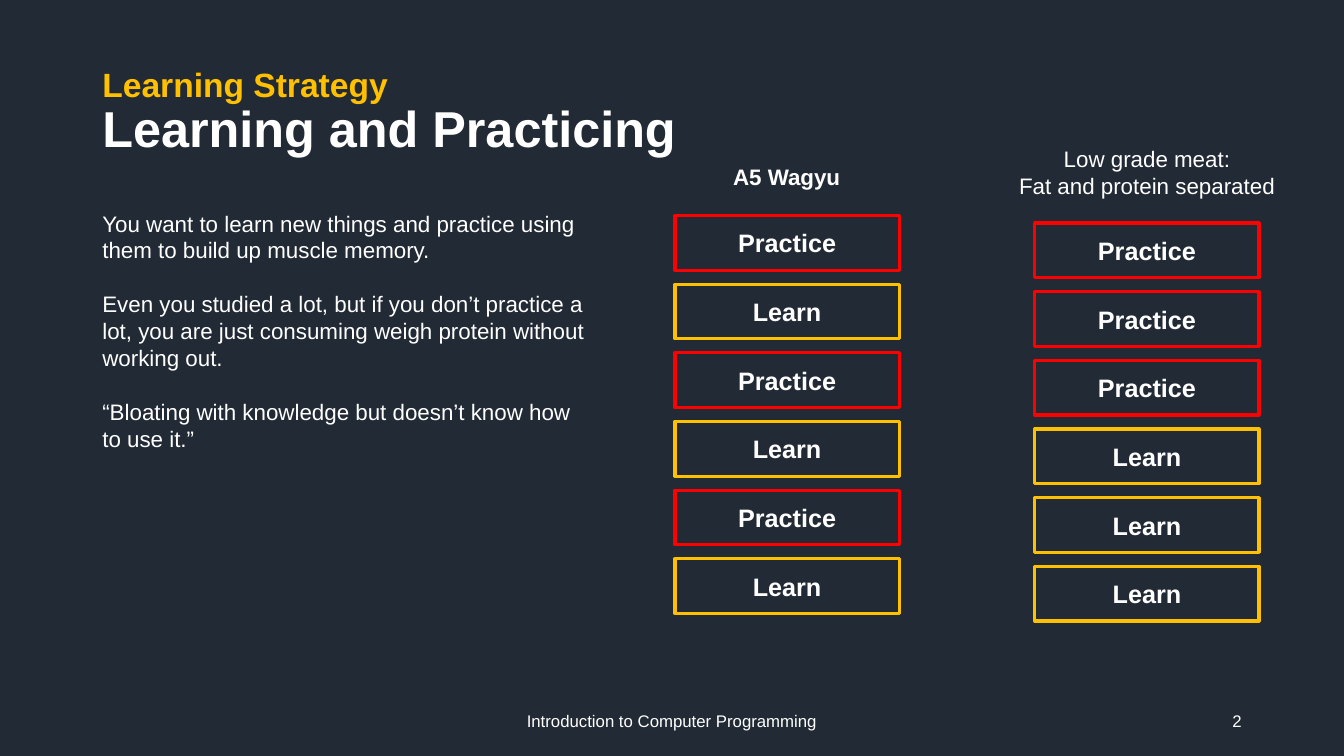
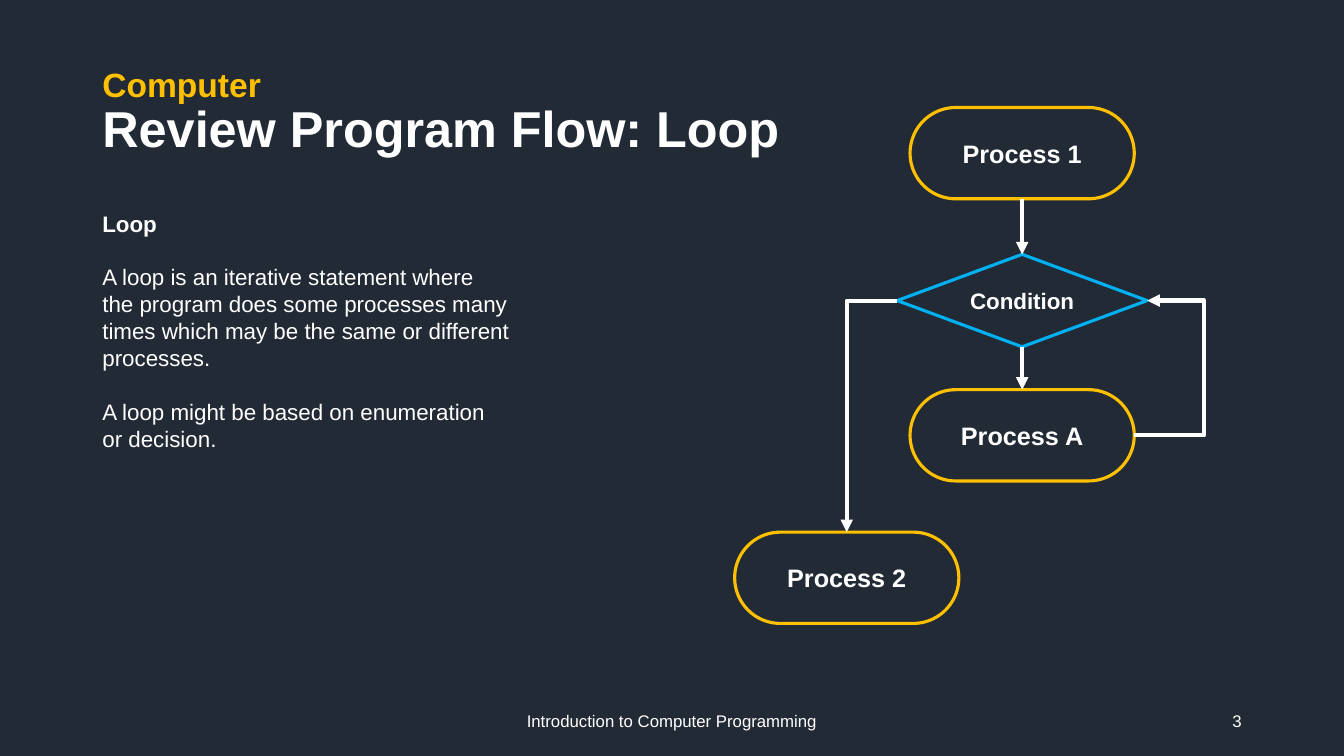
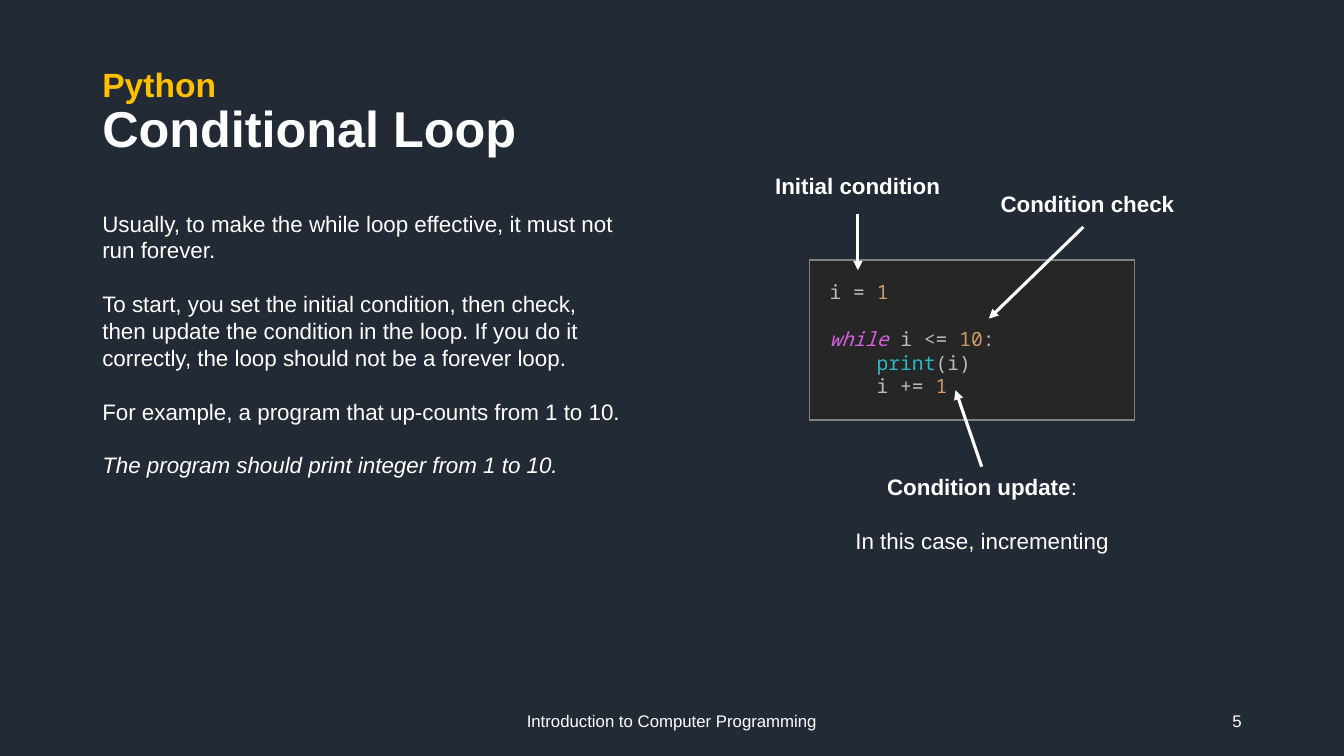
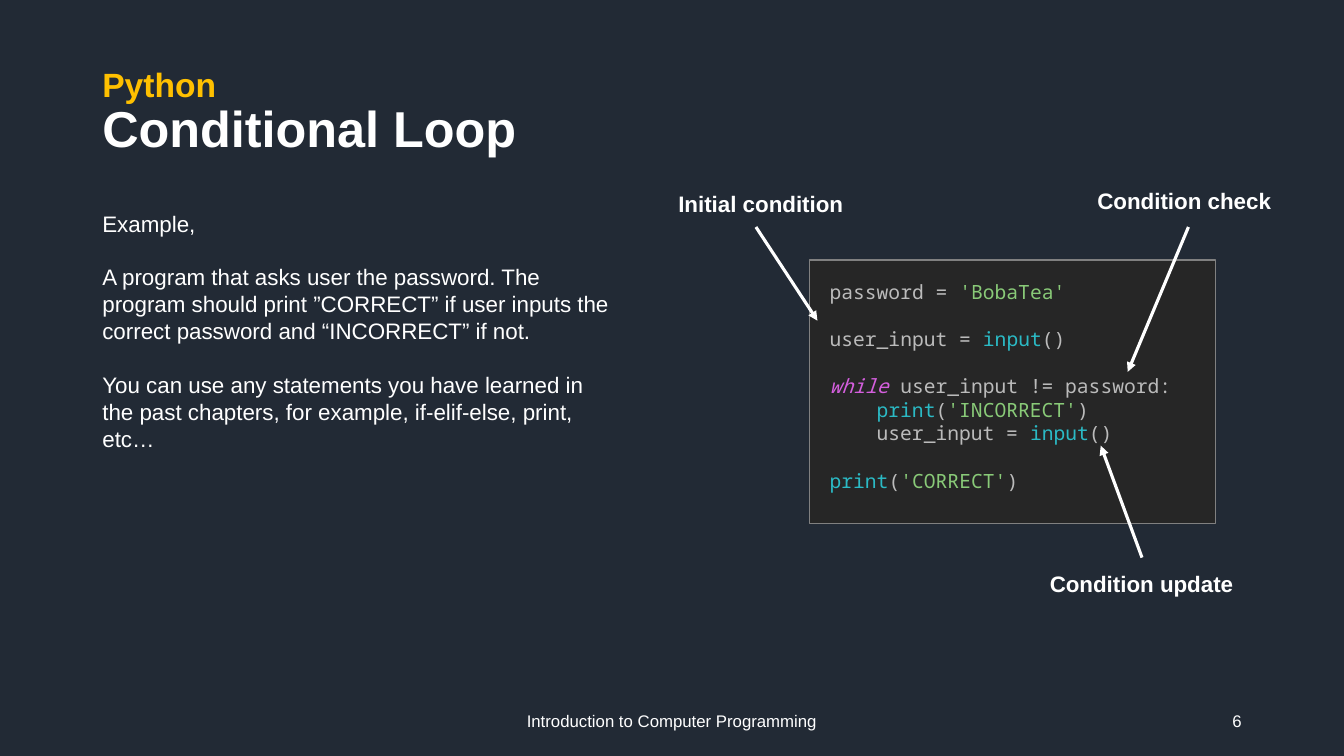
"""Build four slides on practising and on loops in Python."""
from lxml import etree
from pptx import Presentation
from pptx.dml.color import RGBColor
from pptx.enum import shapes, text
from pptx.oxml.ns import qn
from pptx.util import Cm, Pt

NAVY = RGBColor(0x22, 0x2A, 0x35)
WHITE = RGBColor(0xFF, 0xFF, 0xFF)
GOLD = RGBColor(0xFF, 0xC0, 0x00)
RED = RGBColor(0xFF, 0x00, 0x00)
BLUE = RGBColor(0x00, 0xB0, 0xF0)
CODE_FILL = RGBColor(0x26, 0x26, 0x26)
CODE_LINE = RGBColor(0x80, 0x80, 0x80)
PLAIN = RGBColor(0xBB, 0xBB, 0xBB)
NUMBER = RGBColor(0xD1, 0x9A, 0x66)
KEYWORD = RGBColor(0xD5, 0x5F, 0xDE)
BUILTIN = RGBColor(0x2B, 0xBA, 0xC5)
STRING = RGBColor(0x89, 0xCA, 0x78)

SANS, MONO = "Arial", "Noto Sans Mono"
LEADING = 1.2
CODE_SIZE = 14
CODE_INDENT = Pt(4 * 0.6 * CODE_SIZE)
FOOTER = "Introduction to Computer Programming"
LEFT, CENTER, RIGHT = text.PP_ALIGN.LEFT, text.PP_ALIGN.CENTER, text.PP_ALIGN.RIGHT
TOP, MIDDLE = text.MSO_ANCHOR.TOP, text.MSO_ANCHOR.MIDDLE
RECT = shapes.MSO_SHAPE.RECTANGLE
PILL = shapes.MSO_SHAPE.ROUNDED_RECTANGLE
DIAMOND = shapes.MSO_SHAPE.DIAMOND
STRAIGHT, ELBOW = shapes.MSO_CONNECTOR.STRAIGHT, shapes.MSO_CONNECTOR.ELBOW
SITE = {"top": 0, "left": 1, "bottom": 2, "right": 3}

STRATEGY = {
    "number": 2, "title": ("Learning Strategy", "Learning and Practicing"), "width": 12.7,
    "body": [
        "You want to learn new things and practice using them to build up muscle memory.",
        "Even you studied a lot, but if you don’t practice a lot, you are just consuming "
        "weigh protein without working out.",
        "“Bloating with knowledge but doesn’t know how to use it.”",
    ],
    "labels": [
        (17.4, 3.99, 4.85, [[("A5 Wagyu", "b")]], 0),
        (24.79, 3.53, 8.23, ["Low grade meat:", "Fat and protein separated"], 0),
    ],
}
STACKS = [
    (17.01, 5.43, ["Practice", "Learn"] * 3),
    (26.08, 5.62, ["Practice"] * 3 + ["Learn"] * 3),
]
STACK_COLORS = {"Practice": RED, "Learn": GOLD}
BOX_W, BOX_H, BOX_PITCH = 5.65, 1.38, 1.73

FLOW = {
    "number": 3, "title": ("Computer", "Review Program Flow: Loop"), "width": 10.77,
    "body": [
        [("Loop", "b")],
        "A loop is an iterative statement where the program does some processes many times "
        "which may be the same or different processes.",
        "A loop might be based on enumeration or decision.",
    ],
}
NODES = [
    ("Process 1", PILL, 25.76, 2.71, 5.65, 2.3, GOLD, 18),
    ("Condition", DIAMOND, 25.76, 6.41, 6.3, 2.33, BLUE, 16),
    ("Process A", PILL, 25.76, 9.82, 5.65, 2.3, GOLD, 18),
    ("Process 2", PILL, 21.34, 13.41, 5.65, 2.3, GOLD, 18),
]
LINKS = [
    ("Process 1", "bottom", "Condition", "top", STRAIGHT),
    ("Condition", "bottom", "Process A", "top", STRAIGHT),
    ("Process A", "right", "Condition", "right", ELBOW),
    ("Condition", "left", "Process 2", "top", ELBOW),
]
LOOP_BACK_X = 30.35

COUNTING = {
    "number": 5, "title": ("Python", "Conditional Loop"), "width": 13.56,
    "body": [
        "Usually, to make the while loop effective, it must not run forever.",
        "To start, you set the initial condition, then check, then update the condition in "
        "the loop. If you do it correctly, the loop should not be a forever loop.",
        "For example, a program that up-counts from 1 to 10.",
        [("The program should print integer from 1 to 10.", "i")],
    ],
    "code_size": (8.2, 4.04),
    "code": [
        (0, 0, [("i = ", PLAIN), ("1", NUMBER)]),
        (0, 1, [("while ", KEYWORD), ("i <= ", PLAIN), ("10", NUMBER), (":", PLAIN)]),
        (1, 0, [("print", BUILTIN), ("(i)", PLAIN)]),
        (1, 0, [("i += ", PLAIN), ("1", NUMBER)]),
    ],
    "labels": [
        (18.72, 4.22, 5.79, [[("Initial condition", "b")]], 0),
        (24.51, 4.67, 5.79, [[("Condition check", "b")]], 0),
        (21.08, 11.81, 7.34,
         [[("Condition update", "b"), (":", "")], "In this case, incrementing"], 1),
    ],
    "arrows": [(21.62, 5.38, 21.62, 6.81), (27.3, 5.72, 24.92, 8.03),
               (24.74, 11.76, 24.08, 9.83)],
}
PASSWORD = {
    "number": 6, "title": ("Python", "Conditional Loop"), "width": 13.56,
    "body": [
        "Example,",
        "A program that asks user the password. The program should print ”CORRECT” if user "
        "inputs the correct password and “INCORRECT” if not.",
        "You can use any statements you have learned in the past chapters, for example, "
        "if-elif-else, print, etc…",
    ],
    "code_size": (10.24, 6.65),
    "code": [
        (0, 0, [("password = ", PLAIN), ("'BobaTea'", STRING)]),
        (0, 1, [("user_input = ", PLAIN), ("input", BUILTIN), ("()", PLAIN)]),
        (0, 1, [("while ", KEYWORD), ("user_input != password:", PLAIN)]),
        (1, 0, [("print", BUILTIN), ("(", PLAIN), ("'INCORRECT'", STRING), (")", PLAIN)]),
        (1, 0, [("user_input = ", PLAIN), ("input", BUILTIN), ("()", PLAIN)]),
        (0, 1, [("print", BUILTIN), ("(", PLAIN), ("'CORRECT'", STRING), (")", PLAIN)]),
    ],
    "labels": [
        (16.28, 4.67, 5.79, [[("Initial condition", "b")]], 0),
        (26.95, 4.6, 5.79, [[("Condition check", "b")]], 0),
        (25.1, 14.25, 7.34, [[("Condition update", "b")]], 0),
    ],
    "arrows": [(19.05, 5.72, 20.6, 8.08), (29.95, 5.72, 28.42, 9.37),
               (28.78, 14.05, 27.74, 11.23)],
}


def add_run(p, words, size, color=WHITE, style="", font=SANS):
    r = p.add_run()
    r.text = words
    f = r.font
    f.name, f.size, f.color.rgb = font, Pt(size), color
    f.bold, f.italic = "b" in style, "i" in style


def add_paragraph(tf, first, align=LEFT, spacing=1.0, before=0):
    p = tf.paragraphs[0] if first else tf.add_paragraph()
    p.alignment, p.line_spacing, p.space_before = align, spacing, Pt(before)
    return p


def write(tf, paragraphs, size, align=LEFT, gap_lines=0):
    leading = size * LEADING
    for i, runs in enumerate(paragraphs):
        p = add_paragraph(tf, i == 0, align, Pt(leading), leading * gap_lines if i else 0)
        for words, style in [(runs, "")] if isinstance(runs, str) else runs:
            add_run(p, words, size, style=style)


def add_text_frame(s, x, y, w, h, anchor=TOP):
    tf = s.shapes.add_textbox(Cm(x), Cm(y), Cm(w), Cm(h)).text_frame
    tf.word_wrap, tf.vertical_anchor = True, anchor
    return tf


def add_box(s, kind, x, y, w, h, line, width=2.25, fill=None):
    sp = s.shapes.add_shape(kind, Cm(x), Cm(y), Cm(w), Cm(h))
    sp.shadow.inherit = False
    if fill is None:
        sp.fill.background()
    else:
        sp.fill.solid()
        sp.fill.fore_color.rgb = fill
    sp.line.color.rgb, sp.line.width = line, Pt(width)
    return sp


def add_labelled_box(s, label, kind, x, y, w, h, line, size=18):
    sp = add_box(s, kind, x, y, w, h, line)
    if kind == PILL:
        sp.adjustments[0] = 0.5
    tf = sp.text_frame
    tf.margin_left = tf.margin_right = 0
    tf.vertical_anchor = MIDDLE
    write(tf, [[(label, "b")]], size, CENTER)
    return sp


def add_arrow(s, kind, ends, width):
    c = s.shapes.add_connector(kind, *(Cm(v) for v in ends))
    c.line.color.rgb, c.line.width = WHITE, Pt(width)
    etree.SubElement(c.line._get_or_add_ln(), qn("a:tailEnd"), type="triangle")
    etree.SubElement(c._element.spPr, qn("a:effectLst"))
    return c


def shape_elbow(c, start_side, end_side):
    geom = c._element.spPr.find(qn("a:prstGeom"))
    if start_side == end_side:
        bend = (Cm(LOOP_BACK_X) - c.begin_x) / (c.end_x - c.begin_x)
        guides = geom.find(qn("a:avLst"))
        if guides is None:
            guides = etree.SubElement(geom, qn("a:avLst"))
        etree.SubElement(guides, qn("a:gd"), name="adj1", fmla=f"val {round(bend * 100000)}")
    else:
        geom.set("prst", "bentConnector2")


def add_code(s, size, lines):
    sp = add_box(s, RECT, 20.4, 6.55, *size, CODE_LINE, 1, CODE_FILL)
    tf = sp.text_frame
    tf.margin_left = tf.margin_right = tf.margin_top = tf.margin_bottom = Cm(0.51)
    tf.vertical_anchor = TOP
    leading = CODE_SIZE * LEADING
    for i, (level, blank_lines, runs) in enumerate(lines):
        p = add_paragraph(tf, i == 0, LEFT, Pt(leading), leading * blank_lines)
        p._p.get_or_add_pPr().set("marL", str(level * CODE_INDENT))
        for words, color in runs:
            add_run(p, words, CODE_SIZE, color, "i" if color == KEYWORD else "", MONO)


def add_slide(prs, page):
    s = prs.slides.add_slide(prs.slide_layouts[6])
    tf = add_text_frame(s, 2.33, 1.02, 29.21, 3.68, MIDDLE)
    for i, (words, size, color) in enumerate(zip(page["title"], (24, 36), (GOLD, WHITE))):
        add_run(add_paragraph(tf, i == 0, spacing=0.9), words, size, color, "b")
    write(add_text_frame(s, 11.22, 17.65, 11.43, 1.02, MIDDLE), [FOOTER], 12, CENTER)
    write(add_text_frame(s, 23.92, 17.65, 7.62, 1.02, MIDDLE), [str(page["number"])], 12, RIGHT)
    write(add_text_frame(s, 2.33, 5.16, page["width"], 6.4), page["body"], 16, gap_lines=1)
    if "code" in page:
        add_code(s, page["code_size"], page["code"])
    for x, y, w, paragraphs, gap in page.get("labels", []):
        h = 0.94 + 0.69 * (len(paragraphs) - 1) * (1 + gap)
        write(add_text_frame(s, x, y, w, h), paragraphs, 16, CENTER, gap)
    for ends in page.get("arrows", []):
        add_arrow(s, STRAIGHT, ends, 2.25)
    return s


def add_stacks(s):
    for x, top, steps in STACKS:
        for i, step in enumerate(steps):
            add_labelled_box(s, step, RECT, x, top + i * BOX_PITCH, BOX_W, BOX_H,
                             STACK_COLORS[step])


def add_flowchart(s):
    nodes = {}
    for label, kind, center, y, w, h, color, size in NODES:
        nodes[label] = add_labelled_box(s, label, kind, center - w / 2, y, w, h, color, size)
    for start, start_side, end, end_side, kind in LINKS:
        c = add_arrow(s, kind, (0, 0, 0, 0), 3)
        c.begin_connect(nodes[start], SITE[start_side])
        c.end_connect(nodes[end], SITE[end_side])
        if kind == ELBOW:
            shape_elbow(c, start_side, end_side)


def main():
    prs = Presentation()
    prs.slide_width, prs.slide_height = Cm(33.87), Cm(19.05)
    background = prs.slide_master.background.fill
    background.solid()
    background.fore_color.rgb = NAVY
    add_stacks(add_slide(prs, STRATEGY))
    add_flowchart(add_slide(prs, FLOW))
    add_slide(prs, COUNTING)
    add_slide(prs, PASSWORD)
    prs.save("out.pptx")


if __name__ == "__main__":
    main()
